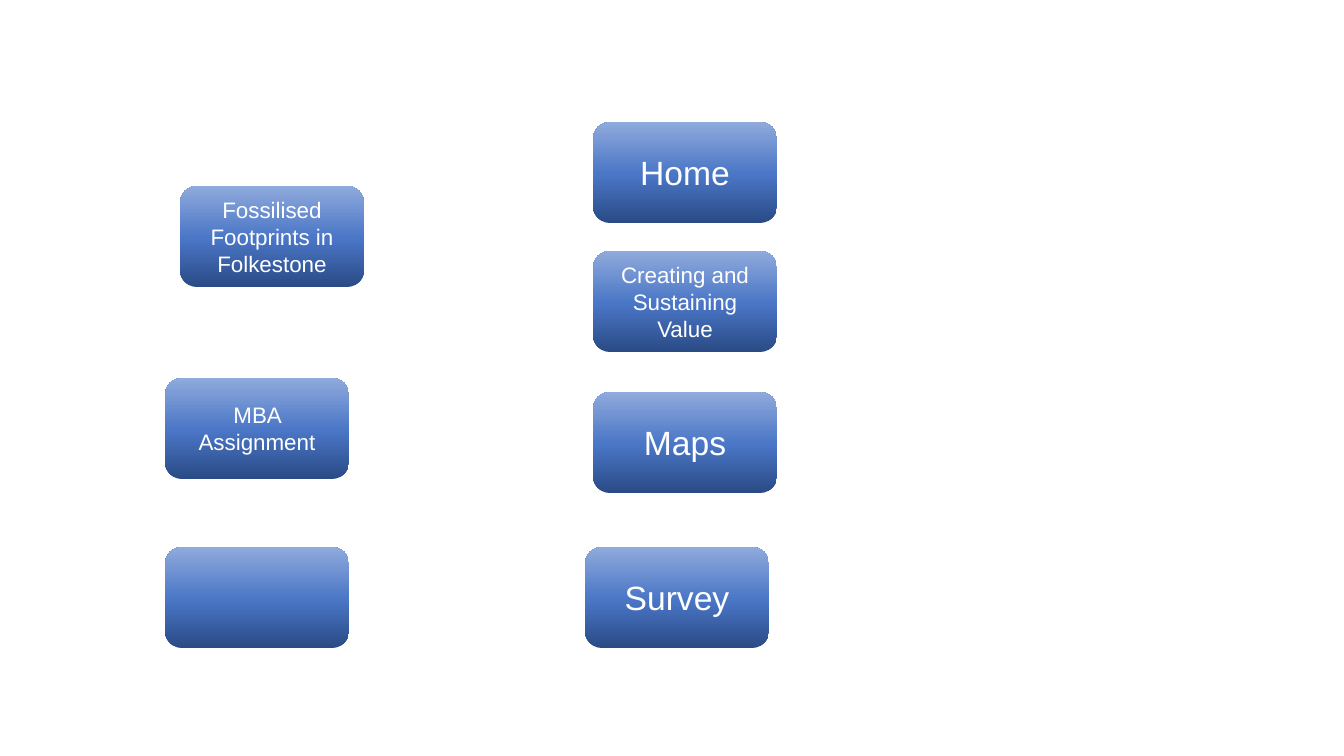
from copy import deepcopy
from dataclasses import dataclass

from pptx import Presentation
from pptx.dml.color import RGBColor
from pptx.enum.shapes import MSO_SHAPE
from pptx.enum.text import MSO_ANCHOR, PP_ALIGN
from pptx.oxml.ns import qn
from pptx.util import Emu, Pt

ROUNDED = MSO_SHAPE.ROUNDED_RECTANGLE
MIDDLE = MSO_ANCHOR.MIDDLE
CENTER = PP_ALIGN.CENTER

EMU_PER_PX = 914400 / 100.8
SLIDE_WIDTH, SLIDE_HEIGHT = 1344, 756
BUTTON_WIDTH, BUTTON_HEIGHT = 184, 101
BLANK_LAYOUT = 6


@dataclass(frozen=True)
class Theme:
    font: str = "Arial"
    text: str = "FFFFFF"
    large: int = 24
    small: int = 16
    # Gradient stops run from the bottom edge to the top edge
    gradient: tuple = ((0, "2A4B86"), (0.48, "4A76C6"), (1, "8FAADC"))
    gradient_angle: int = 90


THEME = Theme()

# Label, type size, left and top of each button
BUTTONS = (
    ("Home", THEME.large, 593, 122),
    ("Creating and Sustaining Value", THEME.small, 593, 251),
    ("Maps", THEME.large, 593, 392),
    ("Fossilised Footprints in Folkestone", THEME.small, 180, 186),
    ("MBA Assignment", THEME.small, 165, 378),
    ("", THEME.small, 165, 547),
    ("Survey", THEME.large, 585, 547),
)


def px(length):
    return Emu(round(length * EMU_PER_PX))


def fill_gradient(shape):
    fill = shape.fill
    fill.gradient()
    fill.gradient_angle = THEME.gradient_angle
    # A new gradient has two stops: add the middle one
    stop_list = shape._element.spPr.find(qn("a:gradFill")).find(qn("a:gsLst"))
    stop_list.insert(1, deepcopy(stop_list[0]))
    for stop, (position, color) in zip(fill.gradient_stops, THEME.gradient):
        stop.position = position
        stop.color.rgb = RGBColor.from_string(color)


def write_label(shape, label, size):
    frame = shape.text_frame
    frame.word_wrap = True
    frame.vertical_anchor = MIDDLE
    paragraph = frame.paragraphs[0]
    paragraph.alignment = CENTER
    run = paragraph.add_run()
    run.text = label
    run.font.name = THEME.font
    run.font.size = Pt(size)
    run.font.color.rgb = RGBColor.from_string(THEME.text)


def add_button(slide, label, size, left, top):
    shape = slide.shapes.add_shape(
        ROUNDED, px(left), px(top), px(BUTTON_WIDTH), px(BUTTON_HEIGHT))
    shape.shadow.inherit = False
    shape.line.fill.background()
    fill_gradient(shape)
    if label:
        write_label(shape, label, size)


def main():
    presentation = Presentation()
    presentation.slide_width = px(SLIDE_WIDTH)
    presentation.slide_height = px(SLIDE_HEIGHT)
    slide = presentation.slides.add_slide(presentation.slide_layouts[BLANK_LAYOUT])

    # Site map buttons
    for button in BUTTONS:
        add_button(slide, *button)

    presentation.save("out.pptx")


if __name__ == "__main__":
    main()
